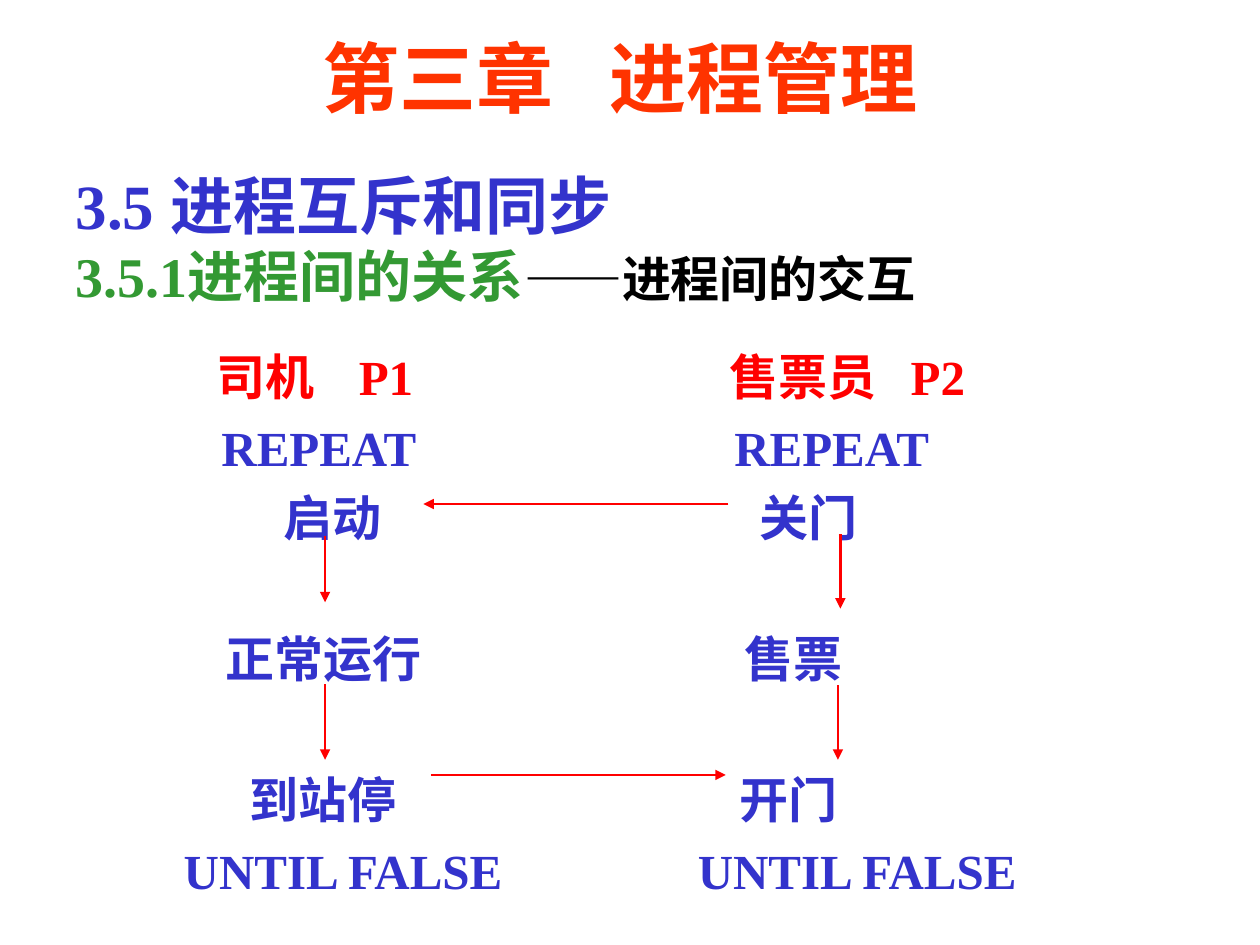
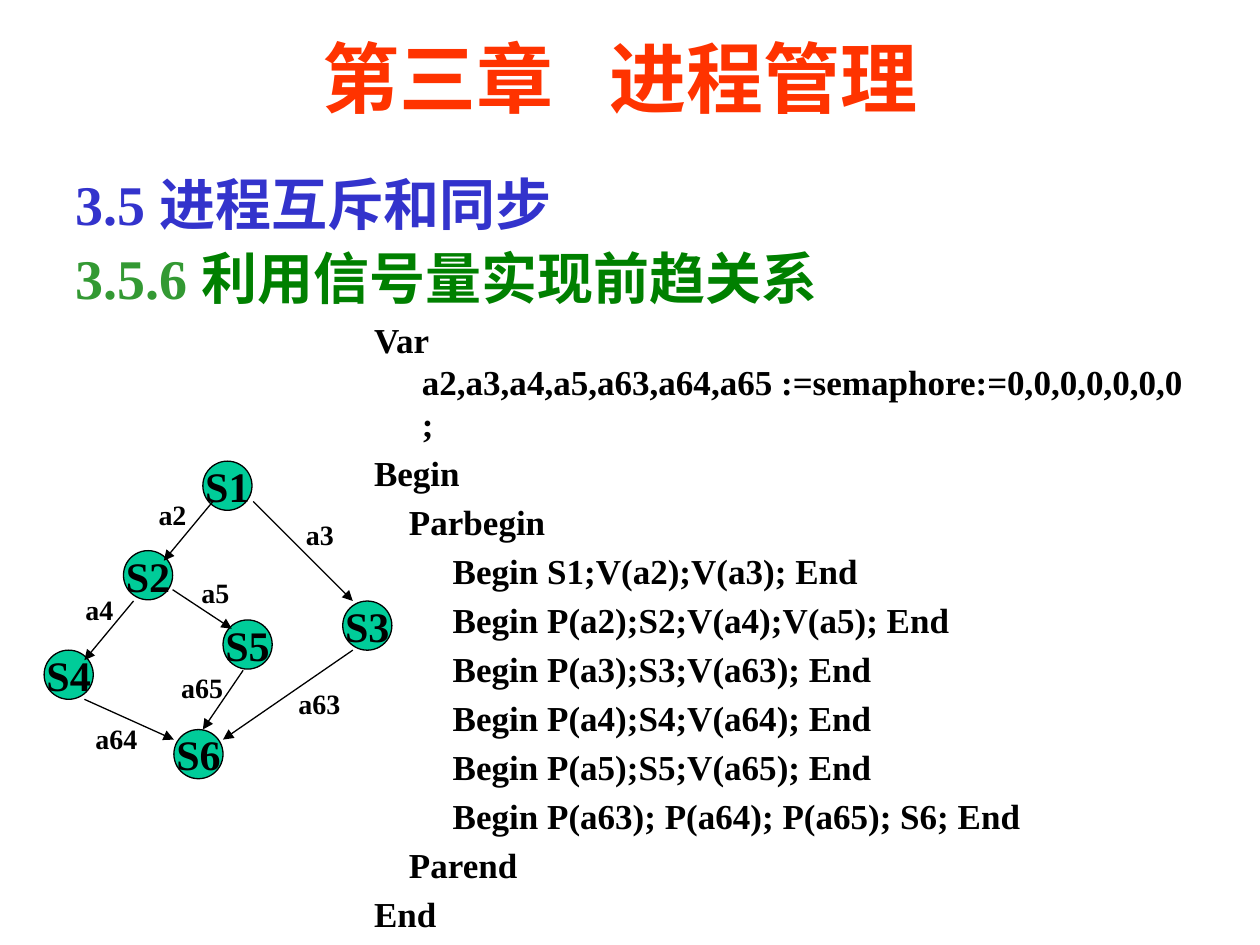
"""Build two lecture slides on process synchronisation."""
import dataclasses

import lxml.etree
import pptx
import pptx.dml.color
import pptx.enum.shapes
import pptx.enum.text
import pptx.oxml.ns
import pptx.util

Inches = pptx.util.Inches
Pt = pptx.util.Pt
Align = pptx.enum.text.PP_ALIGN
Anchor = pptx.enum.text.MSO_ANCHOR
qn = pptx.oxml.ns.qn


@dataclasses.dataclass(frozen=True)
class Theme:
    font: str = "Times New Roman"
    chapter: str = "FF3300"
    section: str = "3333CC"
    topic: str = "339933"
    topic_text: str = "008000"
    ink: str = "000000"
    signal: str = "FF0000"
    node: str = "00CC99"
    paper: str = "FFFFFF"
    chapter_size: int = 44
    section_size: int = 36
    topic_size: int = 32
    step_size: int = 28
    node_size: int = 24
    code_size: int = 20
    label_size: int = 16


THEME = Theme()


def rgb(value):
    return pptx.dml.color.RGBColor.from_string(value)


def write(para, text, *, size, color=THEME.ink, tracking=None):
    span = para.add_run()
    span.text = text
    span.font.name = THEME.font
    span.font.size = Pt(size)
    span.font.bold = True
    span.font.color.rgb = rgb(color)
    if tracking:
        span.font._element.set("spc", str(tracking * 100))


class Lecture:
    def __init__(self, theme):
        self.theme = theme
        self.deck = pptx.Presentation()
        self.deck.slide_width = Inches(10)
        self.deck.slide_height = Inches(7.5)
        self.page = None

    def add_page(self):
        self.page = self.deck.slides.add_slide(self.deck.slide_layouts[1])
        self.page.background.fill.solid()
        self.page.background.fill.fore_color.rgb = rgb(self.theme.paper)

    def place(self, box, left, top, width, height, anchor=Anchor.TOP, wrap=True):
        box.left, box.top = Inches(left), Inches(top)
        box.width, box.height = Inches(width), Inches(height)
        frame = box.text_frame
        frame.word_wrap = wrap
        frame.auto_size = pptx.enum.text.MSO_AUTO_SIZE.NONE
        frame.vertical_anchor = anchor
        return frame

    def text_box(self, left, top, width, height, **options):
        box = self.page.shapes.add_textbox(0, 0, 0, 0)
        return self.place(box, left, top, width, height, **options)

    def paragraph(self, frame, first):
        return frame.paragraphs[0] if first else frame.add_paragraph()

    def title(self, chapter, name):
        frame = self.place(self.page.shapes.title, 1.17, 0.07, 7.5, 1.08, anchor=Anchor.MIDDLE)
        para = frame.paragraphs[0]
        para.alignment = Align.CENTER
        style = dict(size=self.theme.chapter_size, color=self.theme.chapter)
        write(para, chapter, **style)
        write(para, " ", tracking=22, **style)
        write(para, name, **style)

    def headings(self, top, height, lines, spacing=1.0):
        frame = self.place(self.page.placeholders[1], 0.5, top, 9.17, height)
        for index, spans in enumerate(lines):
            para = self.paragraph(frame, index == 0)
            properties = para._p.get_or_add_pPr()
            properties.set("marL", "0")
            properties.set("indent", "0")
            lxml.etree.SubElement(properties, qn("a:buNone"))
            para.space_before = Pt(0)
            para.line_spacing = spacing
            for text, size, color in spans:
                write(para, text, size=size, color=color)

    def steps(self, rows):
        left, inset, pitch = 1.08, 0.1, Pt(40.3)
        frame = self.text_box(left, 2.61, 7.5, 4.5)
        for index, (color, gap, cells) in enumerate(rows):
            para = self.paragraph(frame, index == 0)
            stops = lxml.etree.SubElement(para._p.get_or_add_pPr(), qn("a:tabLst"))
            for place, text in cells:
                position = Inches(place - left - inset)
                lxml.etree.SubElement(stops, qn("a:tab"), pos=str(position), algn="l")
            para.line_spacing = pitch
            para.space_before = pitch if gap else Pt(0)
            text = "".join("\t" + text for place, text in cells)
            write(para, text, size=self.theme.step_size, color=color)

    def code(self, lines):
        frame = self.text_box(2.87, 2.48, 6.62, 4.73)
        for index, line in enumerate(lines):
            para = self.paragraph(frame, index == 0)
            properties = para._p.get_or_add_pPr()
            properties.set("marL", str(Inches(0.38)))
            properties.set("indent", str(Inches(-0.38)))
            para.space_before = Pt(4 if index else 0)
            write(para, line, size=self.theme.code_size)

    def node(self, name, left, top, diameter=0.39):
        oval = self.page.shapes.add_shape(pptx.enum.shapes.MSO_SHAPE.OVAL, 0, 0, 0, 0)
        frame = self.place(oval, left, top, diameter, diameter, anchor=Anchor.MIDDLE, wrap=False)
        frame.margin_left = frame.margin_right = frame.margin_top = frame.margin_bottom = 0
        oval.shadow.inherit = False
        oval.fill.solid()
        oval.fill.fore_color.rgb = rgb(self.theme.node)
        oval.line.color.rgb = rgb(self.theme.ink)
        oval.line.width = Pt(0.75)
        frame.paragraphs[0].alignment = Align.CENTER
        write(frame.paragraphs[0], name, size=self.theme.node_size)

    def label(self, text, left, top):
        frame = self.text_box(left, top, 0.2 + 0.11 * len(text), 0.37, wrap=False)
        write(frame.paragraphs[0], text, size=self.theme.label_size)

    def arrow(self, start, end, color, width):
        line = self.page.shapes.add_connector(
            pptx.enum.shapes.MSO_CONNECTOR.STRAIGHT, *map(Inches, (*start, *end)))
        line.line.color.rgb = rgb(color)
        line.line.width = Pt(width)
        lxml.etree.SubElement(line.line._get_or_add_ln(), qn("a:tailEnd"), type="triangle")
        lxml.etree.SubElement(line._element.spPr, qn("a:effectLst"))


def interaction_page(lecture):
    theme = lecture.theme
    lecture.add_page()
    lecture.title("第三章", "进程管理")
    lecture.headings(1.27, 1.23, [
        [("3.5 进程互斥和同步", theme.section_size, theme.section)],
        [("3.5.1进程间的关系", theme.topic_size, theme.topic),
         ("——进程间的交互", theme.step_size, theme.ink)],
    ])
    lecture.steps([
        (theme.signal, False, [(1.72, "司机"), (2.85, "P1"), (5.79, "售票员"), (7.23, "P2")]),
        (theme.section, False, [(1.76, "REPEAT"), (5.83, "REPEAT")]),
        (theme.section, False, [(2.25, "启动"), (6.03, "关门")]),
        (theme.section, True, [(1.79, "正常运行"), (5.91, "售票")]),
        (theme.section, True, [(1.98, "到站停"), (5.87, "开门")]),
        (theme.section, False, [(1.46, "UNTIL FALSE"), (5.54, "UNTIL FALSE")]),
    ])
    for start, end in [
        ((2.58, 4.25), (2.58, 4.78)),
        ((2.58, 5.43), (2.58, 6.03)),
        ((6.67, 4.24), (6.67, 4.83)),
        ((6.65, 5.44), (6.65, 6.03)),
        ((3.42, 6.15), (5.76, 6.15)),
        ((5.78, 4), (3.36, 4)),
    ]:
        lecture.arrow(start, end, theme.signal, 1.5)


def precedence_page(lecture):
    theme = lecture.theme
    lecture.add_page()
    lecture.title("第三章", "进程管理")
    lecture.headings(1.24, 1.27, [
        [("3.5 进程互斥和同步", theme.topic_size, theme.section)],
        [("3.5.6 ", theme.topic_size, theme.topic),
         ("利用信号量实现前趋关系", theme.topic_size, theme.topic_text)],
    ], spacing=1.1)
    processes = [
        "S1;V(a2);V(a3);",
        "P(a2);S2;V(a4);V(a5);",
        "P(a3);S3;V(a63);",
        "P(a4);S4;V(a64);",
        "P(a5);S5;V(a65);",
        "P(a63); P(a64); P(a65); S6;",
    ]
    lecture.code([
        "Var a2,a3,a4,a5,a63,a64,a65 :=semaphore:=0,0,0,0,0,0,0;",
        "Begin",
        "    Parbegin",
        *(f"         Begin {process} End" for process in processes),
        "    Parend",
        "End",
    ])
    for name, left, top in [
        ("S1", 1.61, 3.66), ("S2", 0.98, 4.37), ("S3", 2.72, 4.77),
        ("S4", 0.35, 5.16), ("S5", 1.77, 4.92), ("S6", 1.38, 5.79),
    ]:
        lecture.node(name, left, top)
    for name, place, start, end in [
        ("a2", (1.16, 3.9), (1.69, 3.98), (1.3, 4.45)),
        ("a3", (2.33, 4.06), (2.01, 3.98), (2.8, 4.77)),
        ("a4", (0.58, 4.65), (1.06, 4.77), (0.67, 5.24)),
        ("a5", (1.5, 4.52), (1.37, 4.68), (1.84, 4.99)),
        ("a63", (2.27, 5.4), (2.8, 5.16), (1.77, 5.87)),
        ("a64", (0.66, 5.68), (0.67, 5.55), (1.38, 5.87)),
        ("a65", (1.34, 5.27), (1.93, 5.32), (1.61, 5.79)),
    ]:
        lecture.arrow(start, end, theme.ink, 0.75)
        lecture.label(name, *place)


def main():
    lecture = Lecture(THEME)
    interaction_page(lecture)
    precedence_page(lecture)
    lecture.deck.save("out.pptx")


if __name__ == "__main__":
    main()
